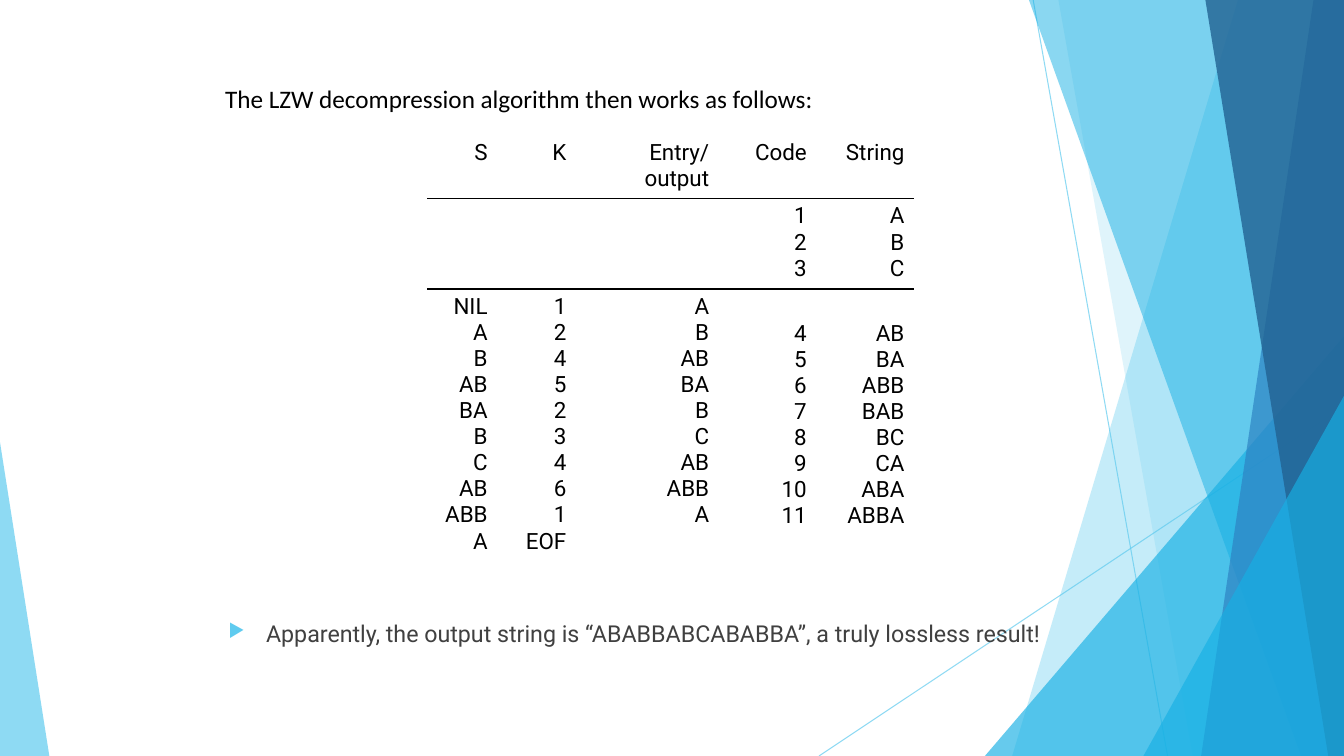
from dataclasses import dataclass

from lxml.etree import SubElement
from pptx import Presentation
from pptx.dml.color import RGBColor as RGB
from pptx.enum.shapes import MSO_CONNECTOR as LINK, MSO_SHAPE as SHAPE
from pptx.enum.text import PP_ALIGN as ALIGN
from pptx.oxml.ns import qn
from pptx.util import Pt

PX = 9525


@dataclass(frozen=True)
class Theme:
    """Hold the colours, fonts and type sizes of the slide."""

    sky: str = "5FCBEF"
    aqua: str = "17B0E4"
    blue: str = "2E83C3"
    navy: str = "226292"
    ink: str = "000000"
    grey: str = "404040"
    sans: str = "Roboto"
    head: str = "Calibri"
    title: float = 18
    note: float = 16.6
    cell: float = 16
    rule: float = 1
    hair: float = 0.75


T = Theme()

HEADS = ["S", "K", "Entry/output", "Code", "String"]
START = ["", "", "", "1 2 3", "A B C"]
STEPS = [
    "NIL A B AB BA B C AB ABB A",
    "1 2 4 5 2 3 4 6 1 EOF",
    "A B AB BA B C AB ABB A",
    "4 5 6 7 8 9 10 11",
    "AB BA ABB BAB BC CA ABA ABBA",
]


def px(*nums):
    """Turn px lengths into EMU."""
    return [n * PX for n in nums]


def fade(fill, color, alpha):
    """Fill with a colour at a percentage of opacity."""
    fill.solid()
    fill.fore_color.rgb = RGB.from_string(color)
    tint = fill._xPr.find(qn("a:solidFill"))[0]
    SubElement(tint, qn("a:alpha"), val=str(alpha * 1000))


def paint(shape, color, alpha):
    """Give a shape a sheer fill without line or shadow."""
    shape.shadow.inherit = False
    shape.line.fill.background()
    fade(shape.fill, color, alpha)


def thread(shapes, x1, y1, x2, y2):
    """Draw a thin sheer line."""
    line = shapes.add_connector(LINK.STRAIGHT, *px(x1, y1, x2, y2))
    line.line.width = Pt(T.hair)
    fade(line.line.fill, T.sky, 70)
    SubElement(line._element.spPr, qn("a:effectLst"))


def wedge(shapes, box, top, base, color, alpha):
    """Draw a pane from a slanted left edge to the right edge of the box."""
    x, y, w, h = box
    pen = shapes.build_freeform(x + top, y, scale=PX)
    pen.add_line_segments([(x + w, y), (x + w, y + h), (x + base, y + h)])
    paint(pen.convert_to_shape(), color, alpha)


def corner(shapes, box, tip, color, alpha):
    """Draw a right triangle with its tip at the left (0) or right (1)."""
    tri = shapes.add_shape(SHAPE.ISOSCELES_TRIANGLE, *px(*box))
    tri.adjustments[0] = tip
    paint(tri, color, alpha)


def facets(shapes, box):
    """Draw the overlapping panes at both sides of the box."""
    x, y, w, h = box
    end, low = x + w, y + h
    thread(shapes, x + 984, y, x + 1112, low)
    thread(shapes, end, y + 387, x + 780, low)
    wedge(shapes, box, 1179, 964, T.sky, 36)
    wedge(shapes, box, 1008, 1136, T.sky, 20)
    corner(shapes, (end - 342, low - 400, 342, 400), 1, T.aqua, 66)
    wedge(shapes, box, 980, 1239, T.aqua, 50)
    wedge(shapes, box, 1251, 1144, T.blue, 70)
    wedge(shapes, box, 1148, 1265, T.navy, 80)
    corner(shapes, (end - 191, low - 343, 191, 343), 1, T.aqua, 66)
    corner(shapes, (x, low - 299, 47, 299), 0, T.sky, 70)


def style(para, size, face, color):
    """Set the font of a paragraph's runs."""
    for run in para.runs:
        run.font.size = Pt(size)
        run.font.name = face
        run.font.color.rgb = RGB.from_string(color)


def label(shapes, box, text, size, face, color, mark=None):
    """Place a hanging line of text, with a bullet if a mark is given."""
    frame = shapes.add_textbox(*px(*box)).text_frame
    frame.word_wrap = True
    para = frame.paragraphs[0]
    para.text = text
    props = para._p.get_or_add_pPr()
    props.set("marL", str(36 * PX))
    props.set("indent", str(-36 * PX))
    if mark:
        tint = SubElement(props, qn("a:buClr"))
        SubElement(tint, qn("a:srgbClr"), val=T.sky)
        SubElement(props, qn("a:buSzPct"), val="80000")
        SubElement(props, qn("a:buChar"), char=mark)
    style(para, size, face, color)


def edge(cell, sides):
    """Rule the given sides of a cell and clear the others."""
    props = cell._tc.get_or_add_tcPr()
    for side in "LRTB":
        line = SubElement(props, qn(f"a:ln{side}"), w=str(Pt(T.rule)))
        if side in sides:
            fill = SubElement(line, qn("a:solidFill"))
            SubElement(fill, qn("a:srgbClr"), val=T.ink)
        else:
            SubElement(line, qn("a:noFill"))
    cell.fill.background()


def trace(shapes, box):
    """Build the table of decoding steps."""
    rows = [HEADS, START, STEPS]
    table = shapes.add_table(len(rows), len(HEADS), *px(*box)).table
    table.first_row = table.horz_banding = False
    for col, wide in zip(table.columns, px(67, 75, 136, 93, 93)):
        col.width = wide
    for row, high in zip(table.rows, px(40, 86, 266)):
        row.height = high
    for r, (row, sides) in enumerate(zip(rows, ["B", "TB", "T"])):
        for c, text in enumerate(row):
            cell = table.cell(r, c)
            cell.text_frame.text = "\n".join(text.split())
            for para in cell.text_frame.paragraphs:
                para.alignment = ALIGN.RIGHT
                style(para, T.cell, T.sans, T.ink)
            edge(cell, sides)
    for c in (3, 4):
        table.cell(2, c).margin_top = 30 * PX


def main():
    """Build the slide and save it."""
    deck = Presentation()
    deck.slide_width, deck.slide_height = px(1280, 720)
    shapes = deck.slides.add_slide(deck.slide_layouts[6]).shapes
    facets(shapes, (0, 0, 1280, 720))
    label(shapes, (208, 585, 864, 45),
          "Apparently, the output string is “ABABBABCABABBA”, a truly lossless result!",
          T.note, T.sans, T.grey, "▶")
    trace(shapes, (407, 128, 464, 392))
    label(shapes, (205, 75, 864, 75),
          "The LZW decompression algorithm then works as follows:",
          T.title, T.head, T.ink)
    deck.save("out.pptx")


if __name__ == "__main__":
    main()
